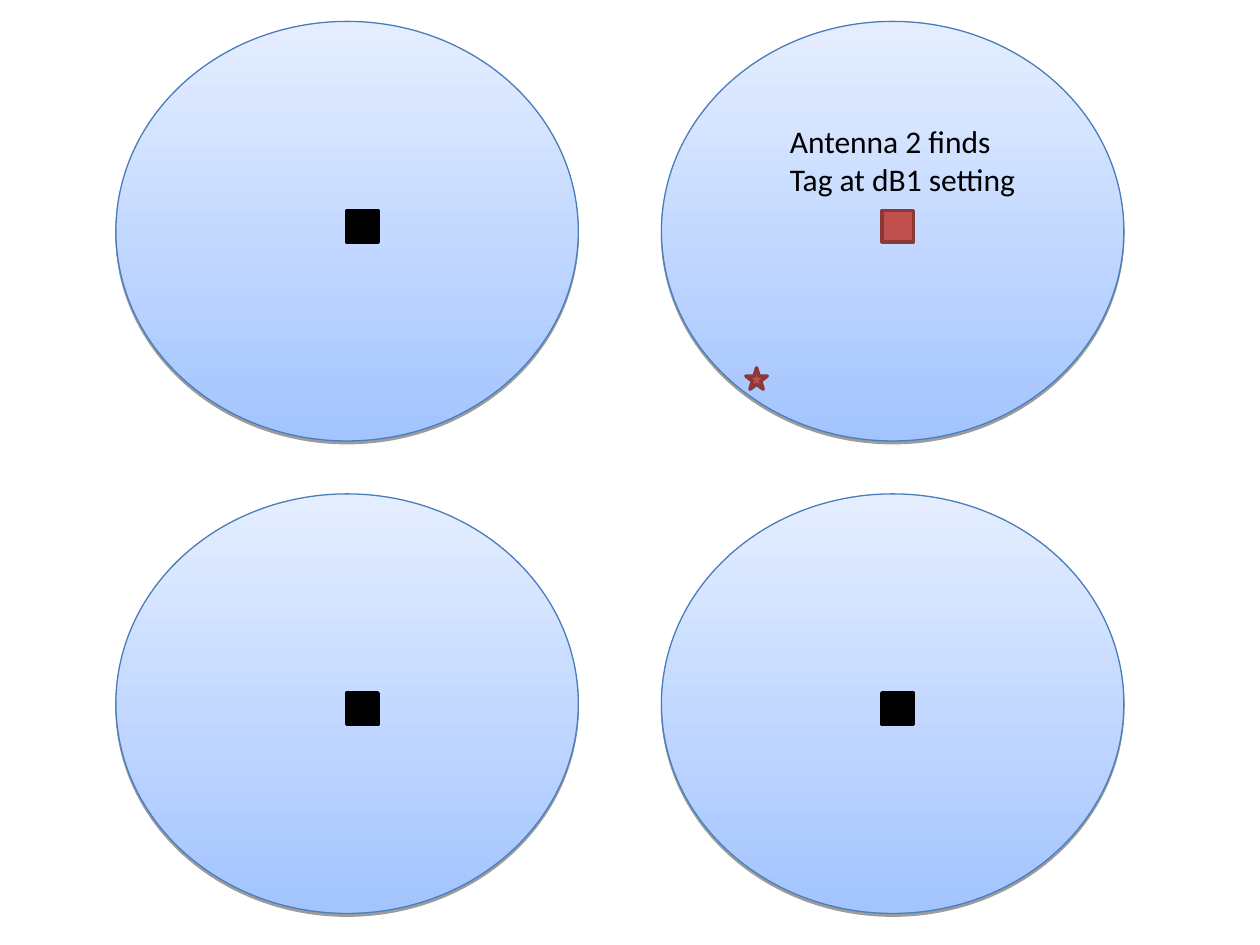
from dataclasses import dataclass

from lxml import etree
from pptx import Presentation
from pptx.dml.color import RGBColor
from pptx.enum import shapes, text
from pptx.oxml import ns
from pptx.util import Inches, Pt


@dataclass(frozen=True)
class Theme:
    """Colours, type and line widths of the slide."""
    range_low: str = "A3C4FF"
    range_high: str = "E5EEFF"
    range_edge: str = "4A7EBB"
    idle: str = "000000"
    active: str = "C0504D"
    active_edge: str = "8C3836"
    ink: str = "000000"
    font: str = "Calibri"
    label_size: float = 18
    thin: float = 0.75
    thick: float = 2


class AntennaSlide:
    """Draws antennas, their ranges and tags on one slide."""

    def __init__(self, slide, theme):
        self.slide = slide
        self.theme = theme

    def outline(self, kind, box, edge, width):
        """Add a preset shape with a plain outline and no shadow."""
        figure = self.slide.shapes.add_shape(kind, *map(Inches, box))
        figure.shadow.inherit = False
        figure.line.color.rgb = RGBColor.from_string(edge)
        figure.line.width = Pt(width)
        return figure

    def antenna_range(self, left, top):
        """Add a shaded ellipse with a soft drop shadow."""
        theme = self.theme
        area = self.outline(shapes.MSO_SHAPE.OVAL, (left, top, 3.67, 3.33),
                            theme.range_edge, theme.thin)
        area.fill.gradient()
        area.fill.gradient_angle = 90
        for stop, colour in zip(area.fill.gradient_stops,
                                (theme.range_low, theme.range_high)):
            stop.color.rgb = RGBColor.from_string(colour)
        effects = area.element.spPr.find(ns.qn("a:effectLst"))
        shade = etree.SubElement(effects, ns.qn("a:outerShdw"), blurRad="0",
                                 dist=str(Pt(1.6)), dir="5400000", rotWithShape="0")
        black = etree.SubElement(shade, ns.qn("a:srgbClr"), val="000000")
        etree.SubElement(black, ns.qn("a:alpha"), val="38000")

    def marker(self, kind, left, top, size, active):
        """Add a solid antenna or tag marker."""
        theme = self.theme
        edge = theme.active_edge if active else theme.idle
        mark = self.outline(kind, (left, top, size, size), edge, theme.thick)
        mark.fill.solid()
        mark.fill.fore_color.rgb = RGBColor.from_string(
            theme.active if active else theme.idle)

    def label(self, box, lines):
        """Add a text label with one paragraph per line."""
        frame = self.slide.shapes.add_textbox(*map(Inches, box)).text_frame
        frame.word_wrap = False
        frame.auto_size = text.MSO_AUTO_SIZE.SHAPE_TO_FIT_TEXT
        frame.text = "\n".join(lines)
        for paragraph in frame.paragraphs:
            for run in paragraph.runs:
                run.font.name = self.theme.font
                run.font.size = Pt(self.theme.label_size)
                run.font.color.rgb = RGBColor.from_string(self.theme.ink)


def main():
    """Build the antenna slide and save it."""
    deck = Presentation()
    deck.slide_width, deck.slide_height = Inches(10), Inches(7.5)
    page = AntennaSlide(deck.slides.add_slide(deck.slide_layouts[6]), Theme())

    for left in (0.92, 5.25):
        for top in (3.92, 0.17):
            page.antenna_range(left, top)

    finder = (7, 1.67)
    for top in (1.67, 5.5):
        for left in (2.75, 7):
            page.marker(shapes.MSO_SHAPE.RECTANGLE, left, top, 0.25,
                        active=(left, top) == finder)

    page.marker(shapes.MSO_SHAPE.STAR_5_POINT, 5.92, 2.92, 0.17, active=True)
    page.label((6.17, 0.92, 2.01, 0.7), ("Antenna 2 finds", "Tag at dB1 setting"))
    deck.save("out.pptx")


if __name__ == "__main__":
    main()
